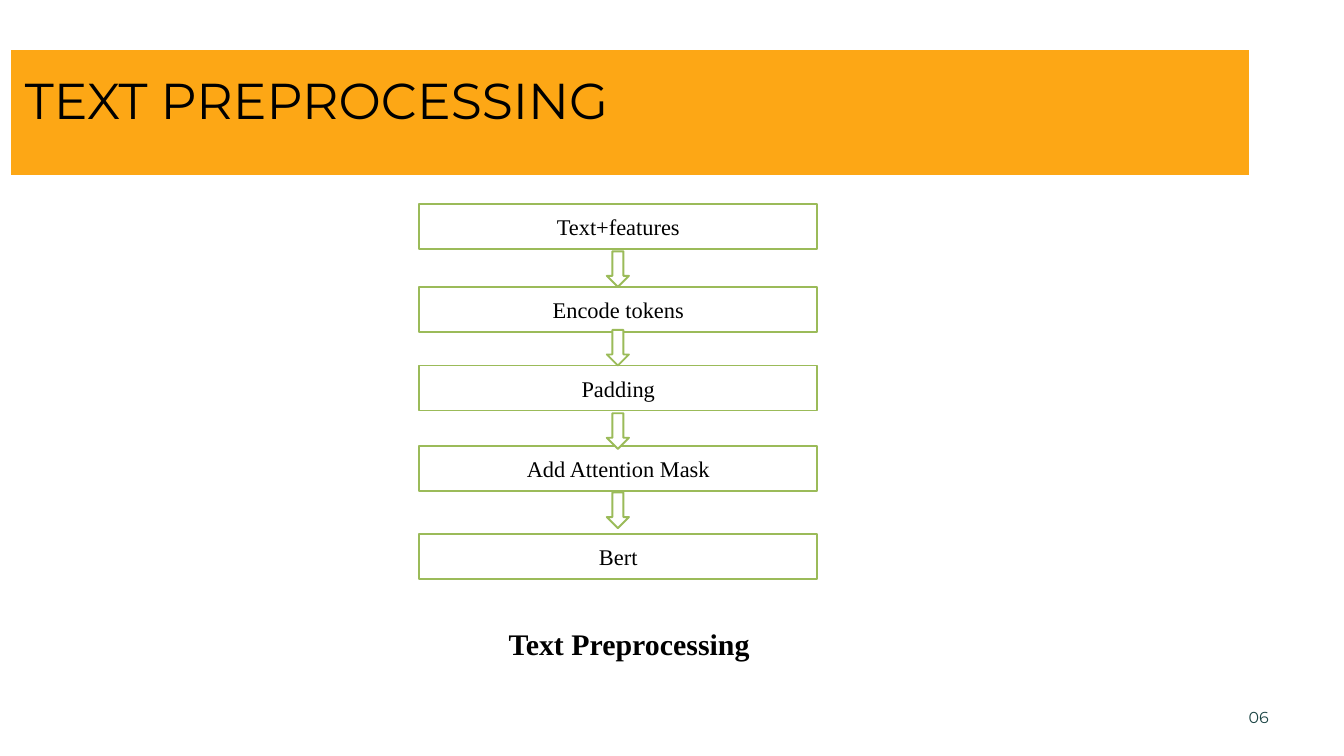
from lxml.etree import SubElement
from pptx import Presentation
from pptx.dml.color import RGBColor
from pptx.enum.shapes import MSO_SHAPE as Preset
from pptx.enum.text import MSO_ANCHOR as Anchor, MSO_AUTO_SIZE as AutoSize, PP_ALIGN as Align
from pptx.oxml.ns import qn
from pptx.util import Pt

PX = 9144
COLORS = {"band": "FDA715", "outline": "9BBB59", "box": "FFFFFF", "ink": "000000", "number": "1B4444"}
SANS, SERIF = "Montserrat", "Times New Roman"
STEPS = [("Text+features", 0), ("Encode tokens", 123), ("Padding", 240),
         ("Add Attention Mask", 360), ("Bert", 491)]
ARROW_TOPS = [70, 187, 311, 429]


def emu(*lengths):
    """Turn px lengths into EMU."""
    return [length * PX for length in lengths]


def rgb(name):
    """Look up a named colour."""
    return RGBColor.from_string(COLORS[name])


def write(frame, text, font_name, size, color="ink", align=None, leading=None, bold=None):
    """Fill a text frame with one formatted paragraph."""
    paragraph = frame.paragraphs[0]
    paragraph.text = text
    paragraph.alignment = align
    if leading:
        paragraph.line_spacing = Pt(leading)
    font = paragraph.font
    font.name, font.size, font.bold = font_name, Pt(size), bold
    font.color.rgb = rgb(color)


def clear_borders(cell):
    """Remove the four borders of a table cell."""
    properties = cell._tc.get_or_add_tcPr()
    for position, side in enumerate(("lnL", "lnR", "lnT", "lnB")):
        border = SubElement(properties, qn(f"a:{side}"), w="0")
        SubElement(border, qn("a:noFill"))
        properties.insert(position, border)


def add_title_table(slide, left, top, width, height, band_height):
    """Place the table whose first row is the title band."""
    table = slide.shapes.add_table(2, 2, *emu(left, top, width, height)).table
    table.first_row = table.horz_banding = False
    table.rows[0].height, table.rows[1].height = emu(band_height, height - band_height)
    for cell in table.iter_cells():
        cell.fill.background()
        clear_borders(cell)
    for cell in table.rows[0].cells:
        cell.fill.solid()
        cell.fill.fore_color.rgb = rgb("band")
    title = table.cell(0, 0)
    title.vertical_anchor = Anchor.MIDDLE
    title.margin_left = title.margin_right = title.margin_top = title.margin_bottom = 21 * PX
    write(title.text_frame, "TEXT PREPROCESSING", SANS, 54, leading=42)


def add_outlined(slide, preset, left, top, width, height):
    """Add a white shape with a green outline."""
    shape = slide.shapes.add_shape(preset, *emu(left, top, width, height))
    shape.shadow.inherit = False
    shape.fill.solid()
    shape.fill.fore_color.rgb = rgb("box")
    shape.line.color.rgb = rgb("outline")
    shape.line.width = Pt(2)
    return shape


def add_flow(slide, left, top, width, box_height):
    """Stack the step boxes and the arrows between them."""
    for label, offset in STEPS:
        step = add_outlined(slide, Preset.RECTANGLE, left, top + offset, width, box_height)
        step.text_frame.vertical_anchor = Anchor.MIDDLE
        write(step.text_frame, label, SERIF, 24, align=Align.CENTER)
    arrow_width = 33
    arrow_left = left + (width - arrow_width) // 2
    for offset in ARROW_TOPS:
        add_outlined(slide, Preset.DOWN_ARROW, arrow_left, top + offset, arrow_width, 53)


def add_caption(slide, left, top, width, height):
    """Place the caption below the flow."""
    frame = slide.shapes.add_textbox(*emu(left, top, width, height)).text_frame
    frame.word_wrap = False
    frame.auto_size = AutoSize.SHAPE_TO_FIT_TEXT
    write(frame, "Text Preprocessing", SERIF, 32, bold=True)


def add_page_number(slide, left, top, width, height):
    """Place the page number in the bottom corner."""
    frame = slide.shapes.add_textbox(*emu(left, top, width, height)).text_frame
    frame.word_wrap = True
    frame.auto_size = AutoSize.SHAPE_TO_FIT_TEXT
    frame.margin_left = frame.margin_right = frame.margin_top = frame.margin_bottom = 0
    write(frame, "06", SANS, 17, "number", Align.RIGHT, 22.1)


def main():
    """Build and save the slide."""
    deck = Presentation()
    deck.slide_width, deck.slide_height = emu(2000, 1125)
    slide = deck.slides.add_slide(deck.slide_layouts[6])
    add_title_table(slide, 16, 75, 1842, 638, band_height=185)
    add_page_number(slide, 1828, 1051, 60, 30)
    add_flow(slide, 624, 304, 592, box_height=67)
    add_caption(slide, 747, 926, 382, 64)
    deck.save("out.pptx")


if __name__ == "__main__":
    main()
